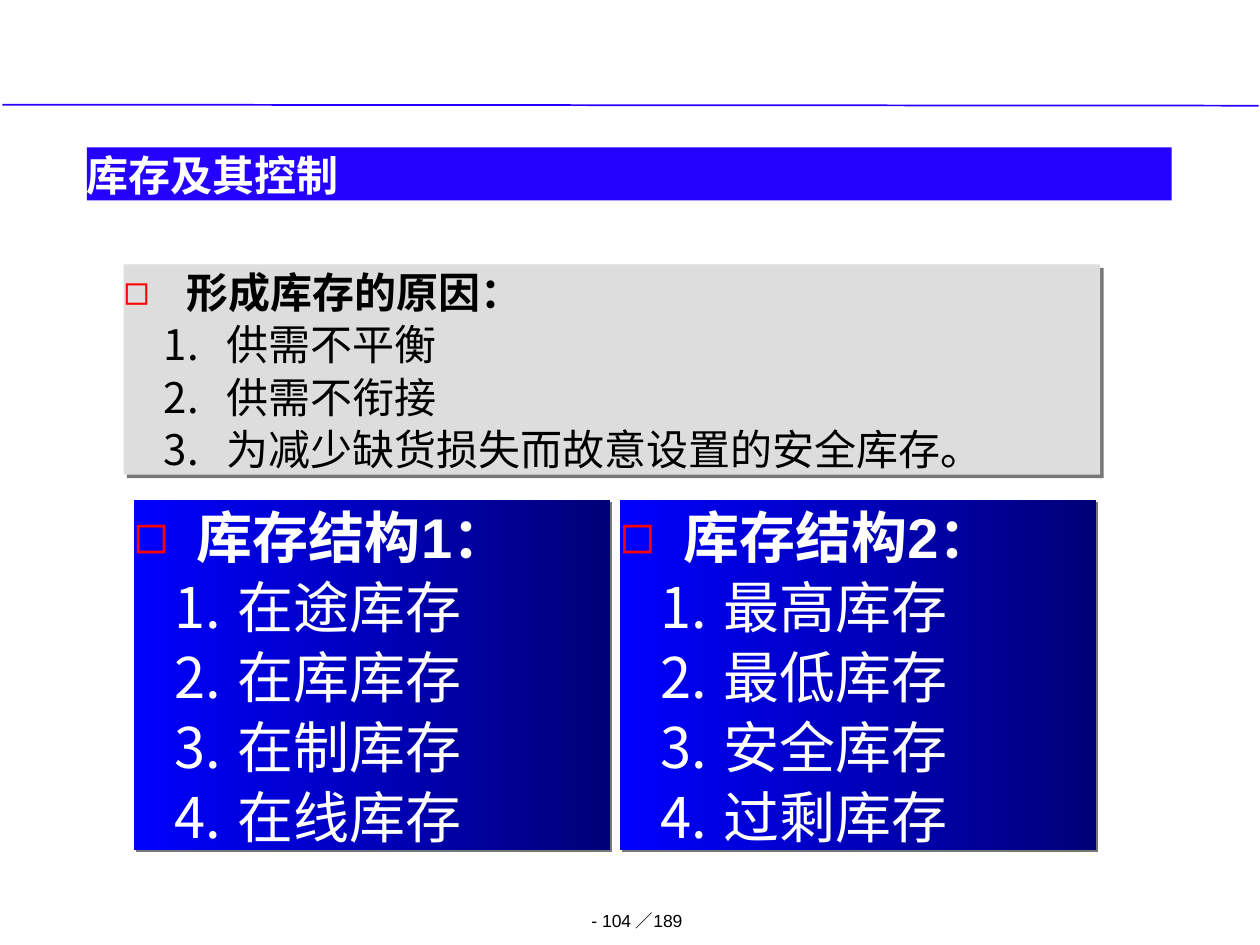
import pptx
import pptx.dml.color
import pptx.enum.shapes
import pptx.enum.text
import pptx.oxml
import pptx.oxml.ns
import pptx.util
from lxml import etree

Cm = pptx.util.Cm
Pt = pptx.util.Pt
qn = pptx.oxml.ns.qn

COLORS = {
    "accent": "2501FF",
    "panel": "DDDDDD",
    "shadow": "777777",
    "bullet": "FF0000",
    "gradient_start": "0000FF",
    "gradient_end": "000076",
    "dark": "000000",
    "light": "FFFFFF",
}
FONT = "Arial"


def rgb(name):
    return pptx.dml.color.RGBColor.from_string(COLORS[name])


def place(shape, left, top, width, height):
    shape.left, shape.top = Cm(left), Cm(top)
    shape.width, shape.height = Cm(width), Cm(height)


def prepare_frame(shape):
    frame = shape.text_frame
    frame.margin_left = frame.margin_right = 0
    frame.margin_top = frame.margin_bottom = 0
    frame.word_wrap = True
    frame.auto_size = pptx.enum.text.MSO_AUTO_SIZE.NONE
    frame.vertical_anchor = pptx.enum.text.MSO_ANCHOR.TOP
    return frame


def add_run(paragraph, text, size, color, bold=False):
    run = paragraph.add_run()
    run.text = text
    run.font.name = FONT
    run.font.size = Pt(size)
    run.font.bold = bold
    run.font.color.rgb = rgb(color)


def format_paragraph(paragraph, alignment, line_spacing=None):
    paragraph.alignment = alignment
    paragraph.space_before = paragraph.space_after = Pt(0)
    if line_spacing:
        paragraph.line_spacing = Pt(line_spacing)


def add_bullet(paragraph, indent, color, tag, **attributes):
    properties = paragraph._p.get_or_add_pPr()
    properties.set("marL", str(Cm(indent)))
    properties.set("indent", str(Cm(-1.27)))
    bullet_color = etree.SubElement(properties, qn("a:buClr"))
    etree.SubElement(bullet_color, qn("a:srgbClr"), val=COLORS[color])
    etree.SubElement(properties, qn("a:buFont"), typeface=FONT)
    etree.SubElement(properties, qn(tag), **attributes)


def add_shadow(shape, distance):
    effects = etree.SubElement(shape._element.spPr, qn("a:effectLst"))
    shadow = etree.SubElement(
        effects, qn("a:outerShdw"), blurRad="0", dist=str(Pt(distance)),
        dir="2700000", algn="ctr", rotWithShape="0")
    etree.SubElement(shadow, qn("a:srgbClr"), val=COLORS["shadow"])


def fill_list(shape, heading, items, size, color, line_spacing):
    """Write a bold bulleted heading followed by a numbered list."""
    frame = prepare_frame(shape)
    left = pptx.enum.text.PP_ALIGN.LEFT
    paragraph = frame.paragraphs[0]
    format_paragraph(paragraph, left, line_spacing)
    add_bullet(paragraph, 1.27, "bullet", "a:buChar", char="◻")
    add_run(paragraph, heading, size, color, bold=True)
    for item in items:
        paragraph = frame.add_paragraph()
        paragraph.level = 1
        format_paragraph(paragraph, left, line_spacing)
        add_bullet(paragraph, 2.08, color, "a:buAutoNum", type="arabicPeriod")
        add_run(paragraph, item, size, color)


def add_header_line(slide):
    line = slide.shapes.add_connector(
        pptx.enum.shapes.MSO_CONNECTOR.STRAIGHT,
        Cm(0.05), Cm(2.11), Cm(25.37), Cm(2.13))
    line.line.color.rgb = rgb("accent")
    line.line.width = Pt(1)
    etree.SubElement(line._element.spPr, qn("a:effectLst"))


def add_page_number(slide, text):
    box = slide.shapes.add_textbox(Cm(11.38), Cm(18.34), Cm(2.92), Cm(0.84))
    paragraph = prepare_frame(box).paragraphs[0]
    format_paragraph(paragraph, pptx.enum.text.PP_ALIGN.CENTER)
    add_run(paragraph, text, 10, "dark")


def set_title(slide, text):
    title = slide.shapes.title
    place(title, 1.75, 2.97, 21.87, 1.07)
    title.fill.solid()
    title.fill.fore_color.rgb = rgb("accent")
    paragraph = prepare_frame(title).paragraphs[0]
    format_paragraph(paragraph, pptx.enum.text.PP_ALIGN.LEFT, 30)
    add_run(paragraph, text, 24, "light", bold=True)


def set_causes(slide, heading, items):
    body = slide.placeholders[1]
    place(body, 2.49, 5.33, 19.69, 4.24)
    body.fill.solid()
    body.fill.fore_color.rgb = rgb("panel")
    add_shadow(body, 2.8)
    fill_list(body, heading, items, 24, "dark", 30)


def add_structure_panel(slide, left, heading, items):
    panel = slide.shapes.add_shape(
        pptx.enum.shapes.MSO_SHAPE.RECTANGLE,
        Cm(left), Cm(10.08), Cm(9.6), Cm(7.06))
    panel.fill.gradient()
    panel.fill.gradient_angle = 0
    for stop, color, position in zip(panel.fill.gradient_stops,
                                     ("gradient_start", "gradient_end"), (0, 1)):
        stop.color.rgb = rgb(color)
        stop.position = position
    panel.line.fill.background()
    add_shadow(panel, 1.4)
    fill_list(panel, heading, items, 32, "light", 40)


def main():
    presentation = pptx.Presentation()
    presentation.slide_width, presentation.slide_height = Cm(25.4), Cm(19.05)
    slide = presentation.slides.add_slide(presentation.slide_layouts[1])

    # Page frame
    add_page_number(slide, "- 104 ／189")
    add_header_line(slide)

    # Title and causes
    set_title(slide, "库存及其控制")
    set_causes(slide, "形成库存的原因：",
               ["供需不平衡", "供需不衔接", "为减少缺货损失而故意设置的安全库存。"])

    # Two stock structures side by side
    structures = [
        ("库存结构1：", ["在途库存", "在库库存", "在制库存", "在线库存"]),
        ("库存结构2：", ["最高库存", "最低库存", "安全库存", "过剩库存"]),
    ]
    for index, (heading, items) in enumerate(structures):
        add_structure_panel(slide, 2.7 + index * 9.8, heading, items)

    presentation.save("out.pptx")


if __name__ == "__main__":
    main()
